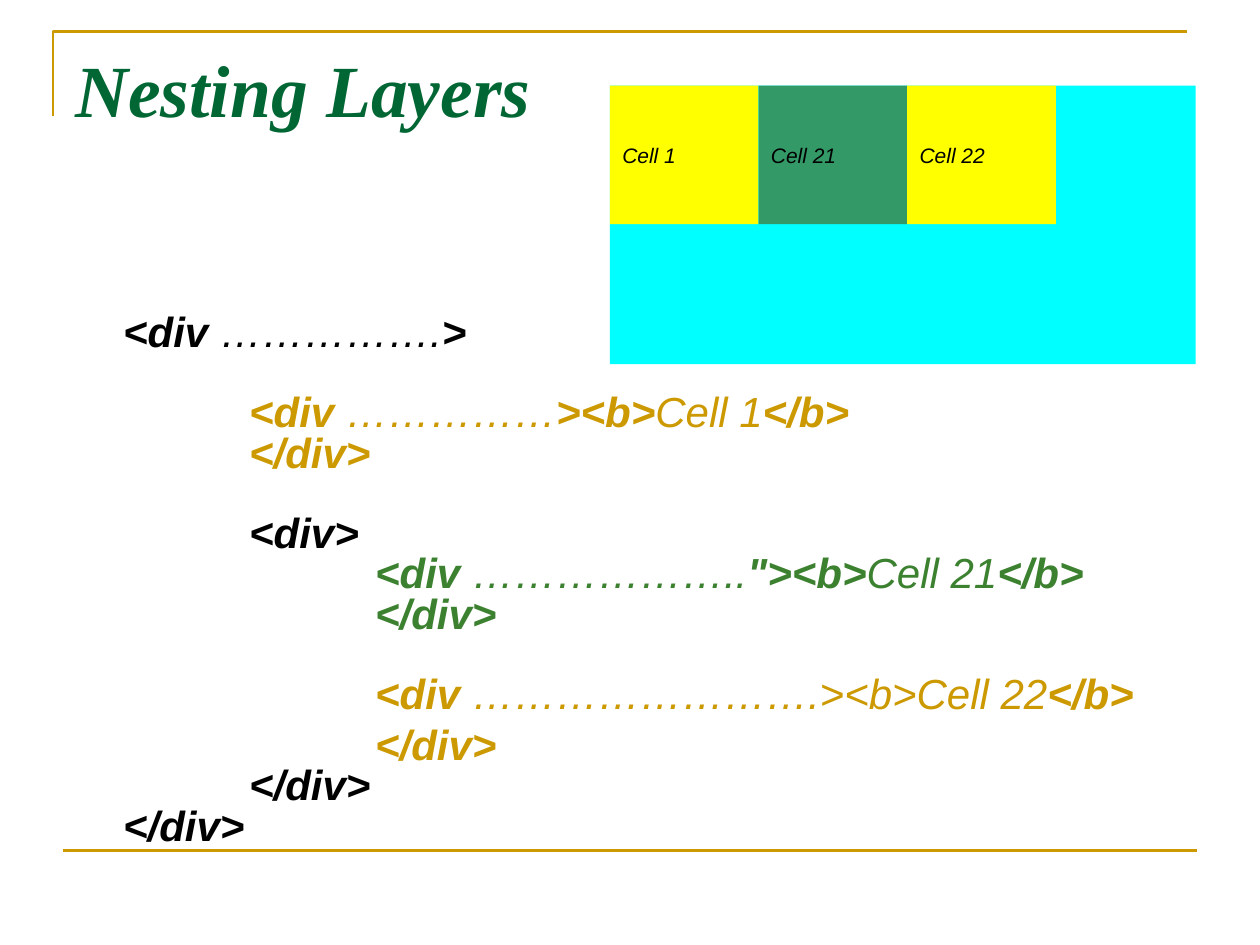
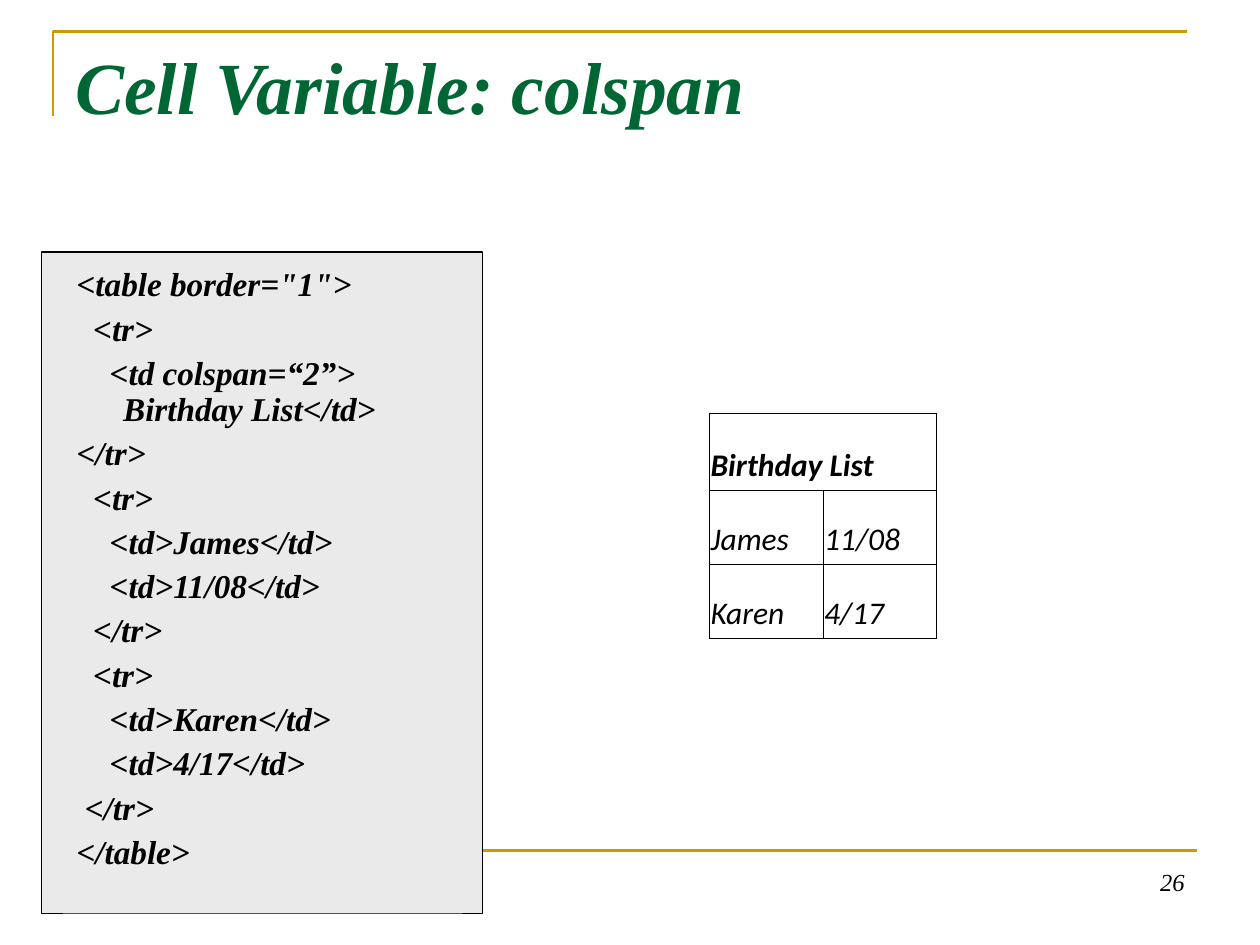
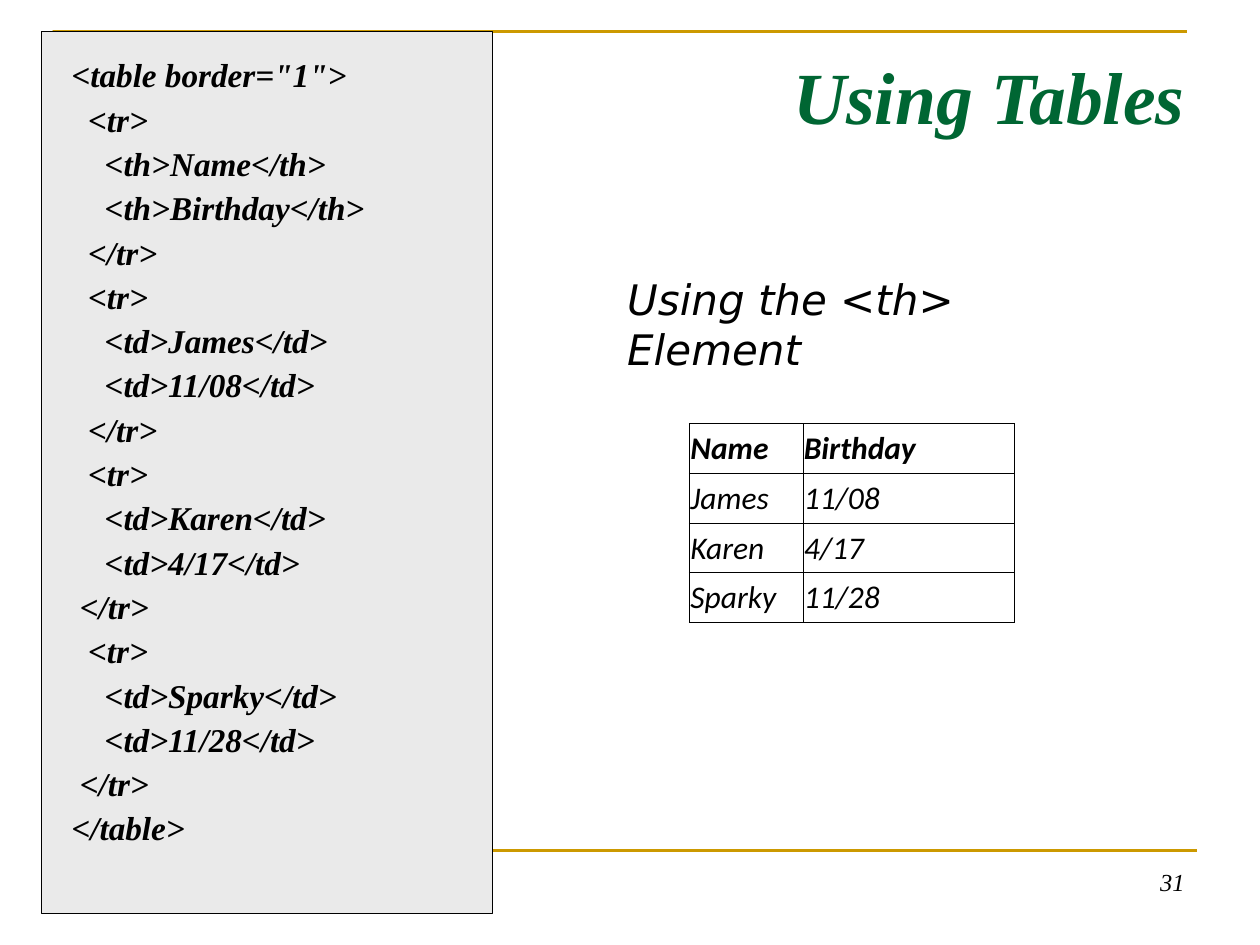
from dataclasses import dataclass

from lxml.etree import SubElement
from pptx import Presentation
from pptx.dml.color import RGBColor
from pptx.enum.shapes import MSO_CONNECTOR, MSO_SHAPE
from pptx.enum.text import MSO_ANCHOR, PP_ALIGN
from pptx.oxml import parse_xml
from pptx.oxml.ns import nsdecls, qn
from pptx.util import Inches, Pt

BLACK = RGBColor(0x00, 0x00, 0x00)
GOLD = RGBColor(0xCC, 0x99, 0x00)
TITLE_GREEN = RGBColor(0x00, 0x66, 0x33)
CODE_GREEN = RGBColor(0x3B, 0x81, 0x2F)
CELL_GREEN = RGBColor(0x33, 0x99, 0x66)
YELLOW = RGBColor(0xFF, 0xFF, 0x00)
CYAN = RGBColor(0x00, 0xFF, 0xFF)
PANEL_GREY = RGBColor(0xEA, 0xEA, 0xEA)

SERIF = "Times New Roman"
SANS = "Arial"
TABLE_FONT = "Calibri"
CAPTION_FONT = "DejaVu Sans"

OUTER_BORDER = Pt(0.34)
INNER_BORDER = Pt(0.11)
HANGING_INDENT = Inches(0.38)
BLANK_LINE = 23


@dataclass
class Box:
    left: float
    top: float
    width: float
    height: float

    def lengths(self) -> tuple:
        return tuple(Inches(n) for n in (self.left, self.top, self.width, self.height))


@dataclass
class TextStyle:
    font: str
    size: float
    color: RGBColor = BLACK
    bold: bool = False


@dataclass
class DivLine:
    """One line of nested markup; segments alternate between bold and regular."""
    level: int
    color: RGBColor
    segments: tuple
    space_before: float = 0


TITLE_STYLE = TextStyle(SERIF, 42, TITLE_GREEN, True)
NUMBER_STYLE = TextStyle(SERIF, 14)
CODE_STYLE = TextStyle(SERIF, 19, bold=True)
CELL_STYLE = TextStyle(SANS, 12)
CAPTION_STYLE = TextStyle(CAPTION_FONT, 24)

DIV_LINES = (
    DivLine(0, BLACK, ("<div", " …………….", ">")),
    DivLine(1, GOLD, ("<div", " ……………", "><b>", "Cell 1", "</b>"), BLANK_LINE),
    DivLine(1, GOLD, ("</div>",)),
    DivLine(1, BLACK, ("<div>",), BLANK_LINE),
    DivLine(2, CODE_GREEN, ("<div", " ………………..", "\"><b>", "Cell 21", "</b>")),
    DivLine(2, CODE_GREEN, ("</div>",)),
    DivLine(2, GOLD, ("<div", " …………………….><b>Cell 22", "</b>"), BLANK_LINE),
    DivLine(2, GOLD, ("</div>",), 6),
    DivLine(1, BLACK, ("</div>",)),
    DivLine(0, BLACK, ("</div>",)),
)

COLSPAN_CODE = (
    '<table border="1">',
    "  <tr>",
    "    <td colspan=“2”>\nBirthday List</td>",
    "</tr>",
    "  <tr>",
    "    <td>James</td>",
    "    <td>11/08</td>",
    "  </tr>",
    "  <tr>",
    "    <td>Karen</td>",
    "    <td>4/17</td>",
    " </tr>",
    "</table>",
)

HEADER_CODE = (
    '<table border="1">',
    "  <tr>",
    "    <th>Name</th>",
    "    <th>Birthday</th>",
    "  </tr>",
    "  <tr>",
    "    <td>James</td>",
    "    <td>11/08</td>",
    "  </tr>",
    "  <tr>",
    "    <td>Karen</td>",
    "    <td>4/17</td>",
    " </tr>",
    "  <tr>",
    "    <td>Sparky</td>",
    "    <td>11/28</td>",
    " </tr>",
    "</table>",
)


def style_paragraph(paragraph, style: TextStyle) -> None:
    font = paragraph.font
    font.name = style.font
    font.size = Pt(style.size)
    font.bold = style.bold
    font.italic = True
    font.color.rgb = style.color


def indent_paragraph(paragraph, margin: int, first_line: int = 0) -> None:
    properties = paragraph._p.get_or_add_pPr()
    properties.set("marL", str(margin))
    properties.set("indent", str(first_line))


def add_text(slide, box: Box, text: str, style: TextStyle,
             alignment=PP_ALIGN.LEFT, anchor=MSO_ANCHOR.TOP) -> None:
    frame = slide.shapes.add_textbox(*box.lengths()).text_frame
    frame.word_wrap = True
    frame.vertical_anchor = anchor
    paragraph = frame.paragraphs[0]
    paragraph.text = text
    paragraph.alignment = alignment
    style_paragraph(paragraph, style)


def add_rectangle(slide, box: Box, fill: RGBColor, outlined: bool = False):
    shape = slide.shapes.add_shape(MSO_SHAPE.RECTANGLE, *box.lengths())
    shape.shadow.inherit = False
    shape.fill.solid()
    shape.fill.fore_color.rgb = fill
    if outlined:
        shape.line.color.rgb = BLACK
        shape.line.width = Pt(0.75)
    else:
        shape.line.fill.background()
    return shape


def add_slide(presentation):
    """Add a blank slide with the gold corner and the gold footer rule."""
    slide = presentation.slides.add_slide(presentation.slide_layouts[6])
    builder = slide.shapes.build_freeform(Inches(0.42), Inches(0.92))
    builder.add_line_segments([(Inches(0.42), Inches(0.25)),
                               (Inches(9.42), Inches(0.25))], close=False)
    corner = builder.convert_to_shape()
    corner.shadow.inherit = False
    corner.fill.background()
    rule = slide.shapes.add_connector(MSO_CONNECTOR.STRAIGHT, Inches(0.5), Inches(6.75),
                                      Inches(9.5), Inches(6.75))
    SubElement(rule._element.spPr, qn("a:effectLst"))
    for gold_line in (corner.line, rule.line):
        gold_line.color.rgb = GOLD
        gold_line.width = Pt(1.5)
    return slide


def add_title(slide, top: float, text: str, alignment=PP_ALIGN.LEFT,
              anchor=MSO_ANCHOR.MIDDLE) -> None:
    add_text(slide, Box(0.5, top, 9, 1.25), text, TITLE_STYLE, alignment, anchor)


def add_slide_number(slide, number: int) -> None:
    add_text(slide, Box(7.17, 6.83, 2.33, 0.52), str(number), NUMBER_STYLE, PP_ALIGN.RIGHT)


def fill_code(frame, lines: tuple) -> None:
    frame.word_wrap = True
    frame.vertical_anchor = MSO_ANCHOR.TOP
    for index, line in enumerate(lines):
        paragraph = frame.add_paragraph() if index else frame.paragraphs[0]
        paragraph.text = line
        paragraph.alignment = PP_ALIGN.LEFT
        paragraph.line_spacing = 0.9
        if index:
            paragraph.space_before = Pt(4.8)
        indent_paragraph(paragraph, HANGING_INDENT, -Inches(0.37))
        style_paragraph(paragraph, CODE_STYLE)


def add_div_lines(slide, box: Box) -> None:
    frame = slide.shapes.add_textbox(*box.lengths()).text_frame
    frame.word_wrap = True
    for index, line in enumerate(DIV_LINES):
        paragraph = frame.add_paragraph() if index else frame.paragraphs[0]
        paragraph.line_spacing = 0.8
        if line.space_before:
            paragraph.space_before = Pt(line.space_before)
        indent_paragraph(paragraph, HANGING_INDENT + Inches(line.level))
        style_paragraph(paragraph, TextStyle(SANS, 24, line.color, True))
        for segment_index, segment in enumerate(line.segments):
            run = paragraph.add_run()
            run.text = segment
            if segment_index % 2:
                run.font.bold = False


def set_borders(cell, widths: dict) -> None:
    """Draw black borders; widths maps L, R, T and B, in that order, to lengths."""
    properties = cell._tc.get_or_add_tcPr()
    for position, (side, width) in enumerate(widths.items()):
        properties.insert(position, parse_xml(
            f'<a:ln{side} {nsdecls("a")} w="{int(width)}"><a:solidFill>'
            f'<a:srgbClr val="{BLACK}"/></a:solidFill></a:ln{side}>'))


def add_birthday_table(slide, left: float, top: float, column_widths: tuple,
                       row_heights: tuple, rows: tuple) -> None:
    """Add a table with a bold first row; a single heading spans all columns."""
    row_count, column_count = len(row_heights), len(column_widths)
    box = Box(left, top, sum(column_widths), sum(row_heights))
    table = slide.shapes.add_table(row_count, column_count, *box.lengths()).table
    table.first_row = table.horz_banding = False
    for column, width in zip(table.columns, column_widths):
        column.width = Inches(width)
    for row, height in zip(table.rows, row_heights):
        row.height = Inches(height)
    for row_index, texts in enumerate(rows):
        if len(texts) == 1:
            table.cell(row_index, 0).merge(table.cell(row_index, column_count - 1))
        for column_index, text in enumerate(texts):
            cell = table.cell(row_index, column_index)
            cell.fill.background()
            cell.vertical_anchor = MSO_ANCHOR.BOTTOM
            cell.margin_left = cell.margin_right = Inches(0.01)
            paragraph = cell.text_frame.paragraphs[0]
            paragraph.text = text
            paragraph.line_spacing = 0.98
            style_paragraph(paragraph, TextStyle(TABLE_FONT, 18, bold=row_index == 0))
            on_edge = {
                "L": column_index == 0,
                "R": column_index == len(texts) - 1,
                "T": row_index == 0,
                "B": row_index == row_count - 1,
            }
            set_borders(cell, {side: OUTER_BORDER if outer else INNER_BORDER
                               for side, outer in on_edge.items()})


def build_nesting_slide(presentation) -> None:
    slide = add_slide(presentation)
    add_title(slide, 0.3, "Nesting Layers", anchor=MSO_ANCHOR.TOP)
    add_div_lines(slide, Box(0.5, 2.45, 9.23, 3.11))
    layer = Box(4.84, 0.68, 4.65, 2.21)
    add_rectangle(slide, layer, CYAN)
    cell_width = 1.18
    cells = (("Cell 1", YELLOW), ("Cell 21", CELL_GREEN), ("Cell 22", YELLOW))
    for index, (text, fill) in enumerate(cells):
        box = Box(layer.left + index * cell_width, layer.top, cell_width, 1.1)
        frame = add_rectangle(slide, box, fill).text_frame
        frame.word_wrap = True
        frame.vertical_anchor = MSO_ANCHOR.MIDDLE
        paragraph = frame.paragraphs[0]
        paragraph.text = text
        paragraph.alignment = PP_ALIGN.LEFT
        style_paragraph(paragraph, CELL_STYLE)


def build_colspan_slide(presentation) -> None:
    slide = add_slide(presentation)
    add_slide_number(slide, 26)
    add_title(slide, 0.05, "Cell Variable: colspan")
    add_rectangle(slide, Box(0.33, 2, 3.5, 5.25), PANEL_GREY, outlined=True)
    code_panel = add_rectangle(slide, Box(0.5, 2.08, 3.17, 5.17), PANEL_GREY)
    fill_code(code_panel.text_frame, COLSPAN_CODE)
    add_birthday_table(slide, 5.63, 3.28, (0.9, 0.9), (0.61, 0.59, 0.59), (
        ("Birthday List",),
        ("James", "11/08"),
        ("Karen", "4/17"),
    ))


def build_header_slide(presentation) -> None:
    slide = add_slide(presentation)
    add_slide_number(slide, 31)
    add_rectangle(slide, Box(0.33, 0.25, 3.58, 7), PANEL_GREY, outlined=True)
    code_box = slide.shapes.add_textbox(*Box(0.46, 0.42, 8.87, 4.58).lengths())
    fill_code(code_box.text_frame, HEADER_CODE)
    add_text(slide, Box(4.88, 2.12, 3.64, 0.5), "Using the <th> Element", CAPTION_STYLE)
    add_title(slide, 0.13, "Using Tables", PP_ALIGN.RIGHT)
    add_birthday_table(slide, 5.47, 3.36, (0.9, 1.68), (0.39,) * 4, (
        ("Name", "Birthday"),
        ("James", "11/08"),
        ("Karen", "4/17"),
        ("Sparky", "11/28"),
    ))


def main() -> None:
    presentation = Presentation()
    presentation.slide_width = Inches(10)
    presentation.slide_height = Inches(7.5)
    build_nesting_slide(presentation)
    build_colspan_slide(presentation)
    build_header_slide(presentation)
    presentation.save("out.pptx")


if __name__ == "__main__":
    main()
